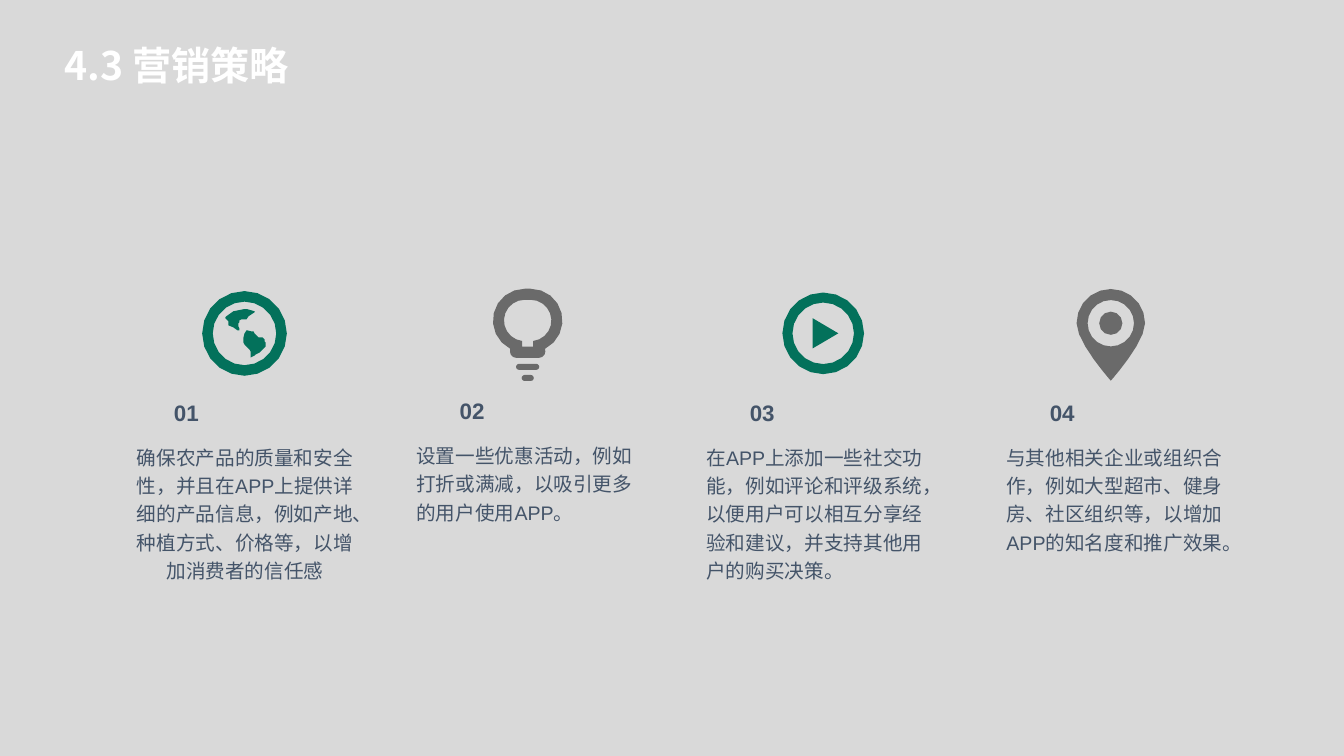
from dataclasses import dataclass
from math import cos, radians, sin

from pptx import Presentation
from pptx.dml.color import RGBColor
from pptx.enum.text import MSO_ANCHOR as Anchor, PP_ALIGN as Align
from pptx.oxml.ns import qn
from pptx.shapes.group import GroupShape
from pptx.text.text import TextFrame, _Paragraph as Paragraph
from pptx.util import Emu, Inches, Pt

CELL = Inches(0.1)
COLUMNS, ROWS = 133.33, 75
GREEN, GREY, SLATE, WHITE, PAPER = "03715B", "6A6A6A", "445469", "FFFFFF", "D9D9D9"
LATIN, CHINESE = "Arial", "Noto Sans CJK SC"
BODY_WIDTH, NUMBER_WIDTH, NUMBER_HEIGHT = 22.7, 14.2, 2.7
NUMBER_INDENT, NUMBER_RISE = 4.3, 4.2

Point = tuple[float, float]
Contour = list[Point]
Outline = list[Contour]


@dataclass
class Strategy:
    """One numbered strategy with its icon, in grid cells."""
    number: str
    detail: str
    left: float
    top: float
    height: float
    icon_centre: Point
    icon: list[Outline]
    icon_color: str
    align: Align = Align.LEFT


def color(hex_code: str) -> RGBColor:
    """Turn a hex string into a colour."""
    return RGBColor.from_string(hex_code)


def cells(count: float) -> Emu:
    """Convert grid cells to a length."""
    return Emu(round(count * CELL))


def arc(x: float, y: float, radius: float, start: float, end: float) -> Contour:
    """Sample an arc, with angles in degrees running clockwise."""
    steps = round((end - start) / (18 if radius > 2 else 30))
    angles = [radians(start + (end - start) * i / steps) for i in range(steps + 1)]
    return [(x + radius * cos(a), y + radius * sin(a)) for a in angles]


def circle(radius: float) -> Contour:
    """Sample a circle around the icon's centre."""
    return arc(0, 0, radius, 0, 360)[:-1]


def curve(a: Point, b: Point, c: Point, d: Point) -> Contour:
    """Sample the inner points of a cubic Bézier curve."""
    def at(t: float, axis: int) -> float:
        u = 1 - t
        return (u**3 * a[axis] + 3 * u * u * t * b[axis]
                + 3 * u * t * t * c[axis] + t**3 * d[axis])
    return [(at(i / 6, 0), at(i / 6, 1)) for i in range(1, 6)]


def capsule(width: float, y: float, radius: float = 0.3) -> Contour:
    """Trace a bar with round ends, centred on the icon's axis."""
    reach = width / 2 - radius
    return arc(reach, y, radius, -90, 90) + arc(-reach, y, radius, 90, 270)


def globe() -> list[Outline]:
    """Trace a ring with two land masses."""
    south = [(1.5, 1.9), (1.1, 2.1), (1, 2.2), (0.6, 2.4), (0.6, 1.8), (0.5, 1.6),
             (0.2, 1.3), (0, 1.1), (-0.1, 0.9), (-0.1, 0.4), (0, 0), (0.2, -0.3),
             (0.3, -0.3), (0.7, -0.2), (0.9, -0.2), (1, 0), (1.4, 0.4), (1.8, 0.4),
             (2, 0.6), (2, 0.8), (2.1, 0.9), (2.1, 1.3)]
    north = [(0.7, -1.9), (0.4, -1.7), (0.2, -1.4), (-0.3, -1.4), (-0.5, -1.3),
             (-0.5, -1.1), (-0.6, -1), (-0.6, -0.7), (-0.5, -0.5), (-0.5, -0.3),
             (-0.7, -0.3), (-1.1, -0.6), (-1.6, -0.8), (-1.6, -1.2), (-1.9, -1.5),
             (-1.9, -1.6), (-1.8, -1.7), (-1.1, -2.2), (-0.1, -2.4), (0.3, -2.4),
             (1, -2.2), (1, -2.1)]
    return [[circle(4.2), circle(3.15), south, north]]


def bulb() -> list[Outline]:
    """Trace a light bulb above two bars."""
    glass = (arc(-0.3, 0, 3.15, 117, 270) + arc(0.3, 0, 3.15, 270, 423)
             + arc(1.15, 3.1, 0.6, 0, 90) + arc(-1.15, 3.1, 0.6, 90, 180))
    hollow = ([(-0.55, 2.6)] + arc(-0.3, 0, 2.05, 97, 270)
              + arc(0.3, 0, 2.05, 270, 443) + [(0.55, 2.6)])
    return [[glass, hollow], [capsule(2.3, 4.6)], [capsule(1.2, 5.7)]]


def play() -> list[Outline]:
    """Trace a ring around a triangle."""
    return [[circle(4.05), circle(3.05), [(-1.05, -1.5), (1.5, 0), (-1.05, 1.5)]]]


def pin() -> list[Outline]:
    """Trace a map pin with a dot."""
    tip = (0, 5.7)
    drop = (arc(0, 0, 3.4, 180, 360) + curve((3.4, 0), (3.4, 1.9), tip, tip)
            + [tip] + curve(tip, tip, (-3.4, 1.9), (-3.4, 0)))
    return [[drop, circle(2.3), circle(1.15)]]


STRATEGIES = [
    Strategy("01", "确保农产品的质量和安全性，并且在APP上提供详细的产品信息，例如产地、种植方式、价格等，以增加消费者的信任感",
             12.96, 43.76, 13.9, (24.26, 33.08), globe(), GREEN, Align.CENTER),
    Strategy("02", "设置一些优惠活动，例如打折或满减，以吸引更多的用户使用APP。",
             41.3, 43.6, 8.5, (52.35, 31.8), bulb(), GREY),
    Strategy("03", "在APP上添加一些社交功能，例如评论和评级系统，以便用户可以相互分享经验和建议，并支持其他用户的购买决策。",
             70.08, 43.76, 13.9, (81.67, 33.07), play(), GREEN),
    Strategy("04", "与其他相关企业或组织合作，例如大型超市、健身房、社区组织等，以增加APP的知名度和推广效果。",
             99.84, 43.76, 11.1, (110.2, 32.07), pin(), GREY),
]


def add_run(paragraph: Paragraph, text: str, size: float, hex_code: str,
            bold: bool = False, latin: str = LATIN) -> None:
    """Add one formatted run."""
    run = paragraph.add_run()
    run.text = text
    run.font.size, run.font.bold, run.font.name = Pt(size), bold, latin
    run.font.color.rgb = color(hex_code)
    properties = run._r.get_or_add_rPr()
    east_asian = properties.makeelement(qn("a:ea"), {"typeface": CHINESE})
    properties.find(qn("a:latin")).addnext(east_asian)


def add_frame(group: GroupShape, left: float, top: float,
              width: float, height: float) -> TextFrame:
    """Add a wrapping text box without insets."""
    box = group.shapes.add_textbox(cells(left), cells(top), cells(width), cells(height))
    frame = box.text_frame
    frame.word_wrap = True
    frame.margin_left = frame.margin_top = frame.margin_right = frame.margin_bottom = 0
    return frame


def draw_outline(group: GroupShape, outline: Outline, centre: Point, hex_code: str) -> None:
    """Draw closed contours as one filled shape."""
    placed = [[(cells(centre[0] + x), cells(centre[1] + y)) for x, y in contour]
              for contour in outline]
    builder = group.shapes.build_freeform(*placed[0][0])
    for index, contour in enumerate(placed):
        if index:
            builder.move_to(*contour[0])
        builder.add_line_segments(contour[1:], close=True)
    figure = builder.convert_to_shape()
    figure.shadow.inherit = False
    figure.fill.solid()
    figure.fill.fore_color.rgb = color(hex_code)
    figure.line.fill.background()


def draw_strategy(group: GroupShape, item: Strategy) -> None:
    """Draw the icon, detail and number of a strategy."""
    for outline in item.icon:
        draw_outline(group, outline, item.icon_centre, item.icon_color)
    detail = add_frame(group, item.left, item.top, BODY_WIDTH, item.height).paragraphs[0]
    detail.alignment, detail.line_spacing = item.align, 1.2
    add_run(detail, item.detail, 14, SLATE)
    number = add_frame(group, item.left + NUMBER_INDENT, item.top - NUMBER_RISE,
                       NUMBER_WIDTH, NUMBER_HEIGHT).paragraphs[0]
    add_run(number, item.number, 16, SLATE, bold=True)


def main() -> None:
    """Build and save the slide."""
    deck = Presentation()
    deck.slide_width, deck.slide_height = cells(COLUMNS), cells(ROWS)
    slide = deck.slides.add_slide(deck.slide_layouts[5])
    slide.background.fill.solid()
    slide.background.fill.fore_color.rgb = color(PAPER)

    title = slide.shapes.title
    title.left, title.top, title.width, title.height = map(cells, (5.4, 3.6, 47.4, 5.7))
    title.text_frame.vertical_anchor = Anchor.TOP
    heading = title.text_frame.paragraphs[0]
    heading.alignment = Align.LEFT
    add_run(heading, "4.3 营销策略", 28, WHITE, bold=True, latin=CHINESE)

    for item in STRATEGIES:
        draw_strategy(slide.shapes.add_group_shape(), item)
    deck.save("out.pptx")


if __name__ == "__main__":
    main()
